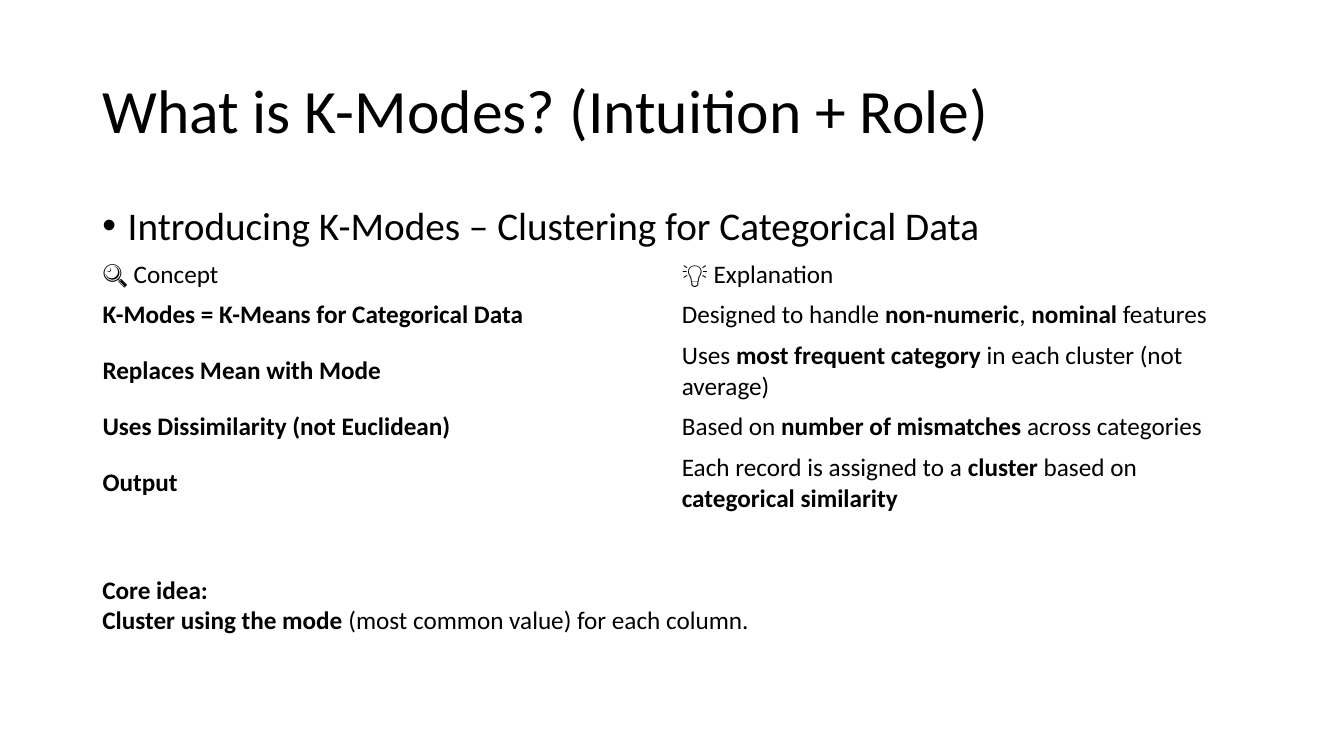
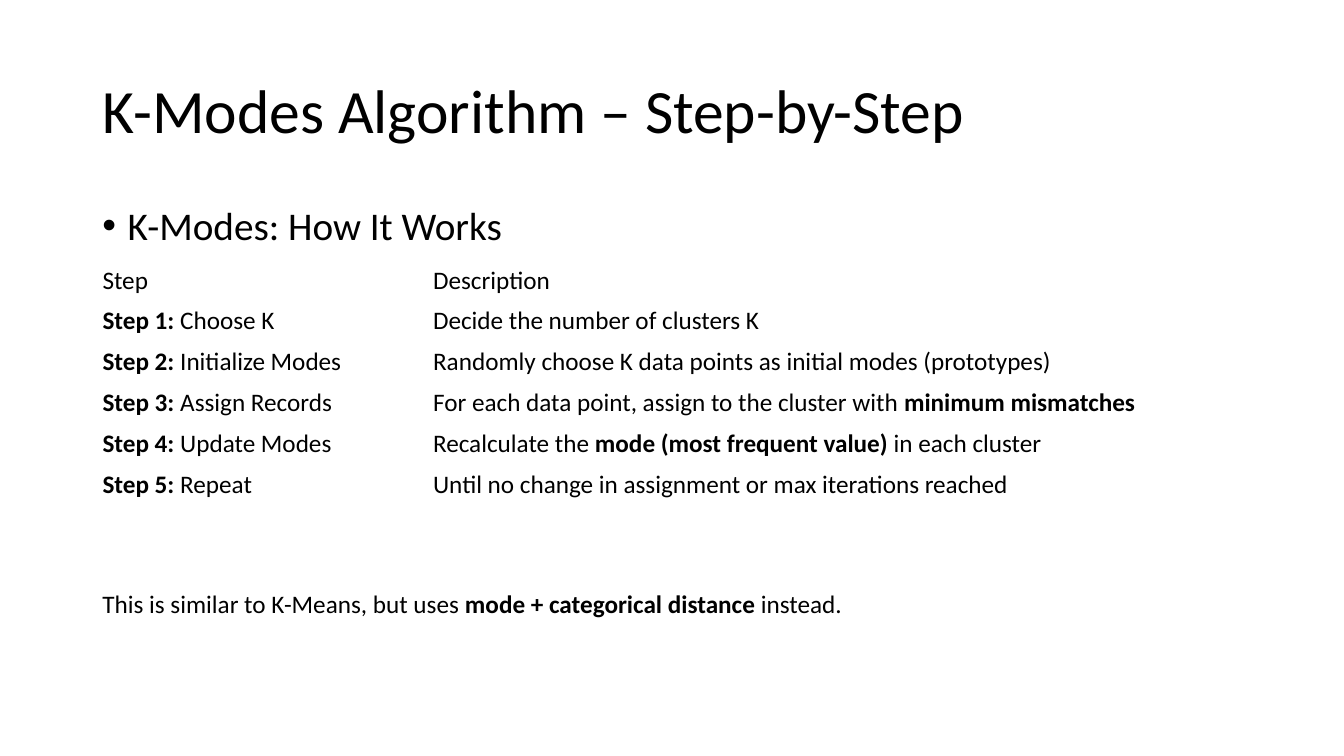
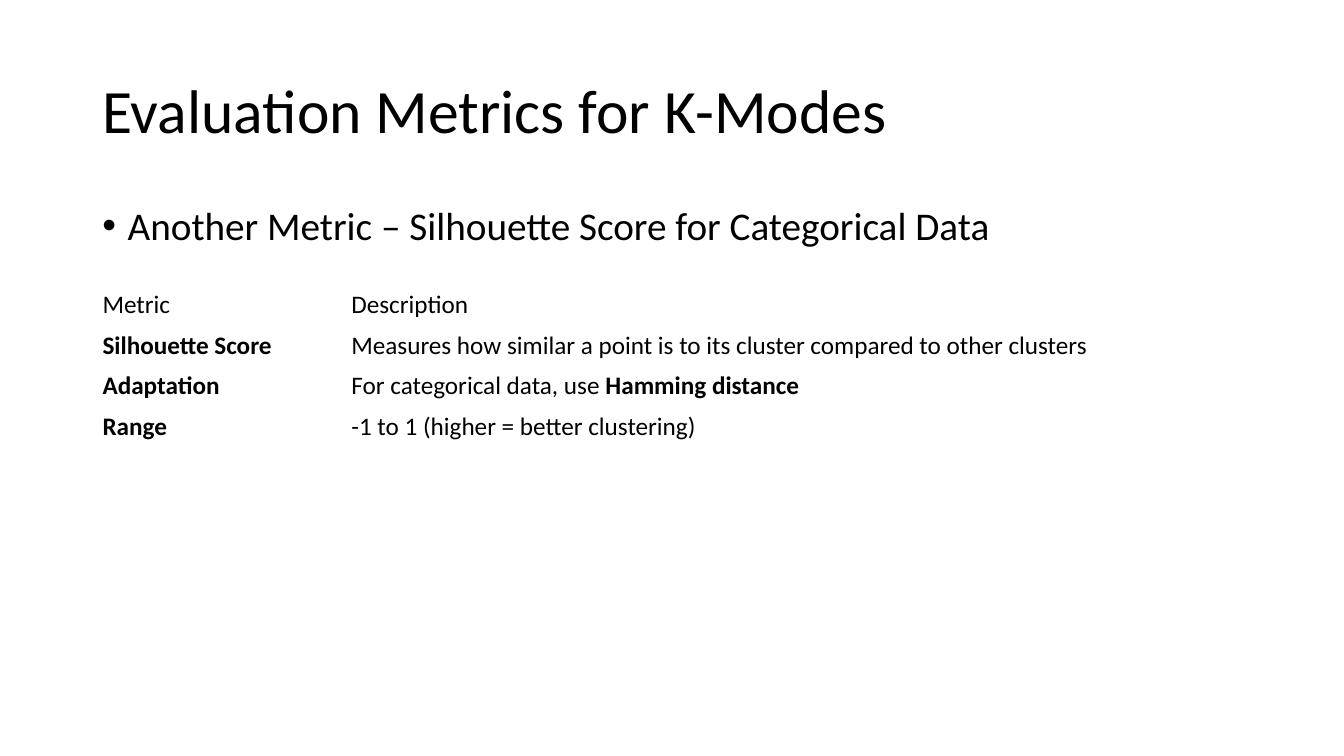
from dataclasses import dataclass
from typing import NamedTuple, Optional

from lxml import etree
from pptx import Presentation
from pptx import util as u
from pptx.dml.color import RGBColor
from pptx.enum import text
from pptx.oxml import ns

Cm, Pt = u.Cm, u.Pt


@dataclass(frozen=True)
class Theme:
    font: str = "Calibri"
    ink: RGBColor = RGBColor(0, 0, 0)
    paper: RGBColor = RGBColor(255, 255, 255)
    title: int = 44
    lead: int = 28
    body: int = 18
    left: float = 2.33
    width: float = 29.21
    row: float = 1.03


class Box(NamedTuple):
    left: float
    top: float
    width: float
    height: float


class Note(NamedTuple):
    box: Box
    text: str


@dataclass(frozen=True)
class Page:
    title: str
    lead: str
    lead_height: float
    table_top: float
    first_col: float
    rows: list[tuple[str, str]]
    note: Optional[Note] = None


TH = Theme()

PAGES = [
    Page(
        "What is K-Modes? (Intuition + Role)",
        "Introducing K-Modes – Clustering for Categorical Data",
        8.23, 6.4, 14.6,
        [
            ("🔍 Concept", "💡 Explanation"),
            ("**K-Modes = K-Means for Categorical Data**",
             "Designed to handle **non-numeric**, **nominal** features"),
            ("**Replaces Mean with Mode**",
             "Uses **most frequent category** in each cluster (not average)"),
            ("**Uses Dissimilarity (not Euclidean)**",
             "Based on **number of mismatches** across categories"),
            ("**Output**",
             "Each record is assigned to a **cluster** based on **categorical similarity**"),
        ],
        Note(Box(TH.left, 14.35, 16.94, 1.8),
             "**Core idea:\nCluster using the mode** (most common value) for each column."),
    ),
    Page(
        "K-Modes Algorithm – Step-by-Step",
        "K-Modes: How It Works",
        7.8, 6.55, 8.33,
        [
            ("Step", "Description"),
            ("**Step 1:** Choose K", "Decide the number of clusters K"),
            ("**Step 2:** Initialize Modes",
             "Randomly choose K data points as initial modes (prototypes)"),
            ("**Step 3:** Assign Records",
             "For each data point, assign to the cluster with **minimum mismatches**"),
            ("**Step 4:** Update Modes",
             "Recalculate the **mode (most frequent value)** in each cluster"),
            ("**Step 5:** Repeat",
             "Until no change in assignment or max iterations reached"),
        ],
        Note(Box(TH.left, 14.71, 21.64, 1.02),
             "This is similar to K-Means, but uses **mode + categorical distance** instead."),
    ),
    Page(
        "Evaluation Metrics for K-Modes",
        "Another Metric – Silhouette Score for Categorical Data",
        12.09, 7.16, 6.27,
        [
            ("Metric", "Description"),
            ("**Silhouette Score**",
             "Measures how similar a point is to its cluster compared to other clusters"),
            ("**Adaptation**", "For categorical data, use **Hamming distance**"),
            ("**Range**", "-1 to 1 (higher = better clustering)"),
        ],
    ),
]


def write(tf, content: str, *, size: int = TH.body, spacing: Optional[float] = None,
          before: int = 0, bullet: bool = False) -> None:
    p = tf.paragraphs[0]
    if spacing:
        p.line_spacing = spacing
    if before:
        p.space_before = Pt(before)
    if bullet:
        pPr = p._p.get_or_add_pPr()
        pPr.set("marL", str(Cm(0.64)))
        pPr.set("indent", str(-Cm(0.64)))
        etree.SubElement(pPr, ns.qn("a:buFont")).set("typeface", "Arial")
        etree.SubElement(pPr, ns.qn("a:buChar")).set("char", "•")
    for i, part in enumerate(content.split("**")):
        for j, line in enumerate(part.split("\n")):
            if j:
                p.add_line_break()
            if line:
                r = p.add_run()
                r.text = line
                r.font.name = TH.font
                r.font.size = Pt(size)
                r.font.bold = i % 2 == 1
                r.font.color.rgb = TH.ink


def add_text(s, box: Box, content: str, *, middle: bool = False, grow: bool = False,
             **fmt) -> None:
    tf = s.shapes.add_textbox(*map(Cm, box)).text_frame
    tf.word_wrap = True
    if middle:
        tf.vertical_anchor = text.MSO_ANCHOR.MIDDLE
    if grow:
        tf.auto_size = text.MSO_AUTO_SIZE.SHAPE_TO_FIT_TEXT
    write(tf, content, **fmt)


def add_grid(s, page: Page) -> None:
    n = len(page.rows)
    box = Box(TH.left, page.table_top, TH.width, n * TH.row)
    table = s.shapes.add_table(n, 2, *map(Cm, box)).table
    table.first_row = table.horz_banding = False
    table.columns[0].width = Cm(page.first_col)
    table.columns[1].width = Cm(TH.width - page.first_col)
    for i, row in enumerate(page.rows):
        for j, content in enumerate(row):
            cell = table.cell(i, j)
            cell.fill.background()
            cell.vertical_anchor = text.MSO_ANCHOR.MIDDLE
            write(cell.text_frame, content)


def add_page(prs, page: Page) -> None:
    s = prs.slides.add_slide(prs.slide_layouts[6])
    s.background.fill.solid()
    s.background.fill.fore_color.rgb = TH.paper
    add_text(s, Box(TH.left, 1.01, TH.width, 3.68), page.title,
             middle=True, size=TH.title, spacing=0.9)
    add_text(s, Box(TH.left, 5.07, TH.width, page.lead_height), page.lead,
             size=TH.lead, spacing=0.9, before=10, bullet=True)
    add_grid(s, page)
    if page.note:
        add_text(s, page.note.box, page.note.text, grow=True)


def main() -> None:
    prs = Presentation()
    prs.slide_width, prs.slide_height = Cm(33.87), Cm(19.05)
    for page in PAGES:
        add_page(prs, page)
    prs.save("out.pptx")


if __name__ == "__main__":
    main()
